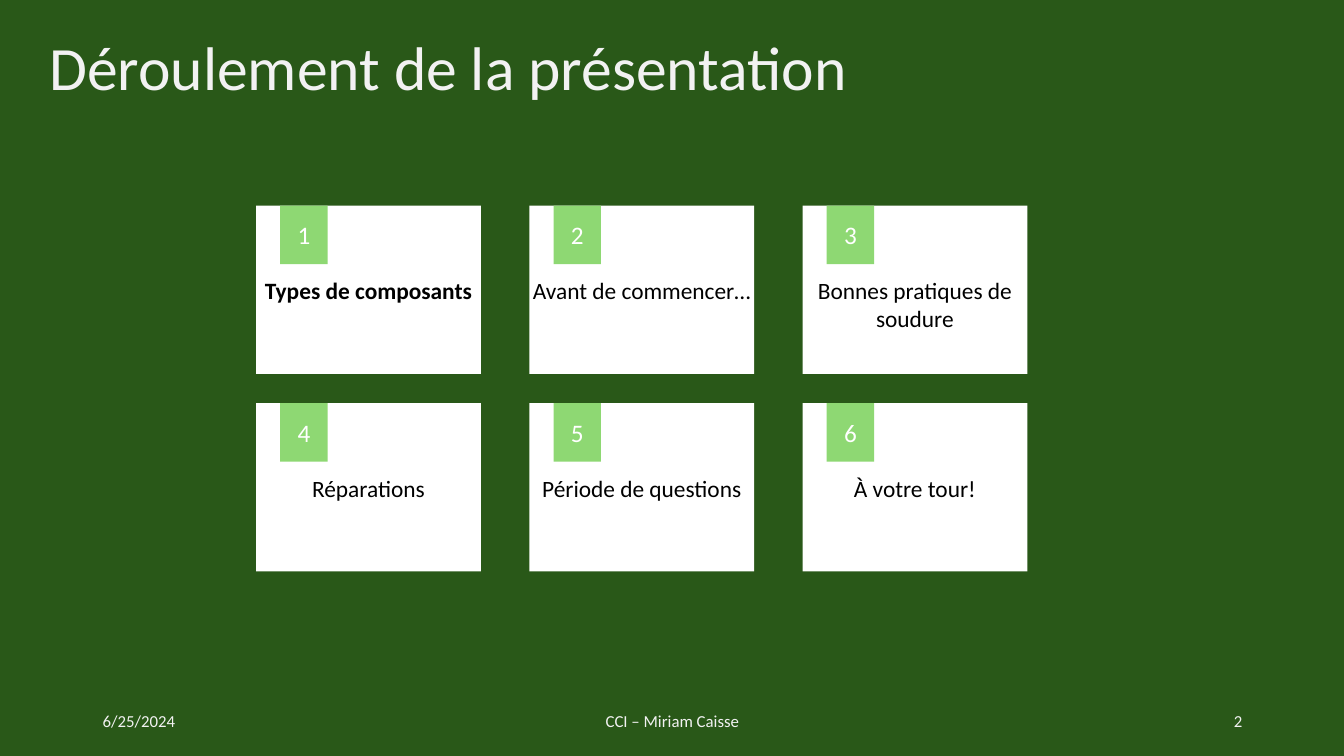
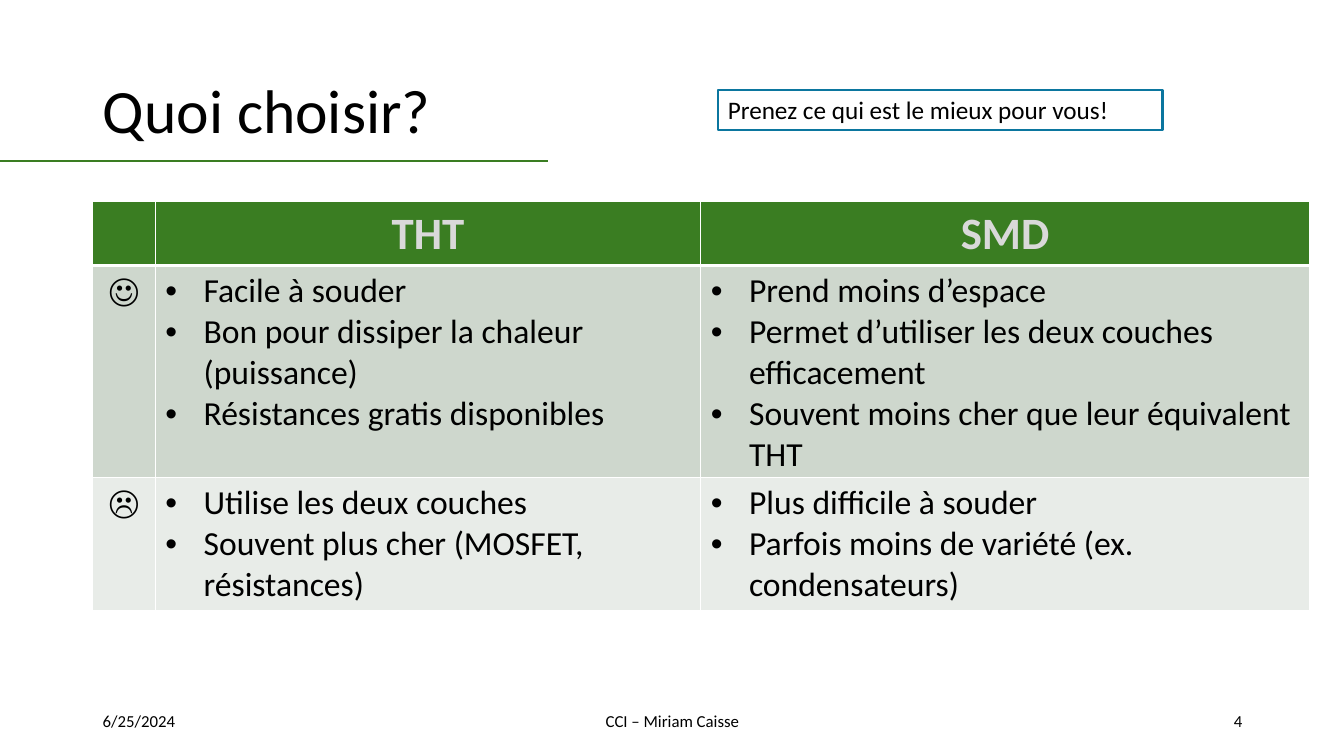
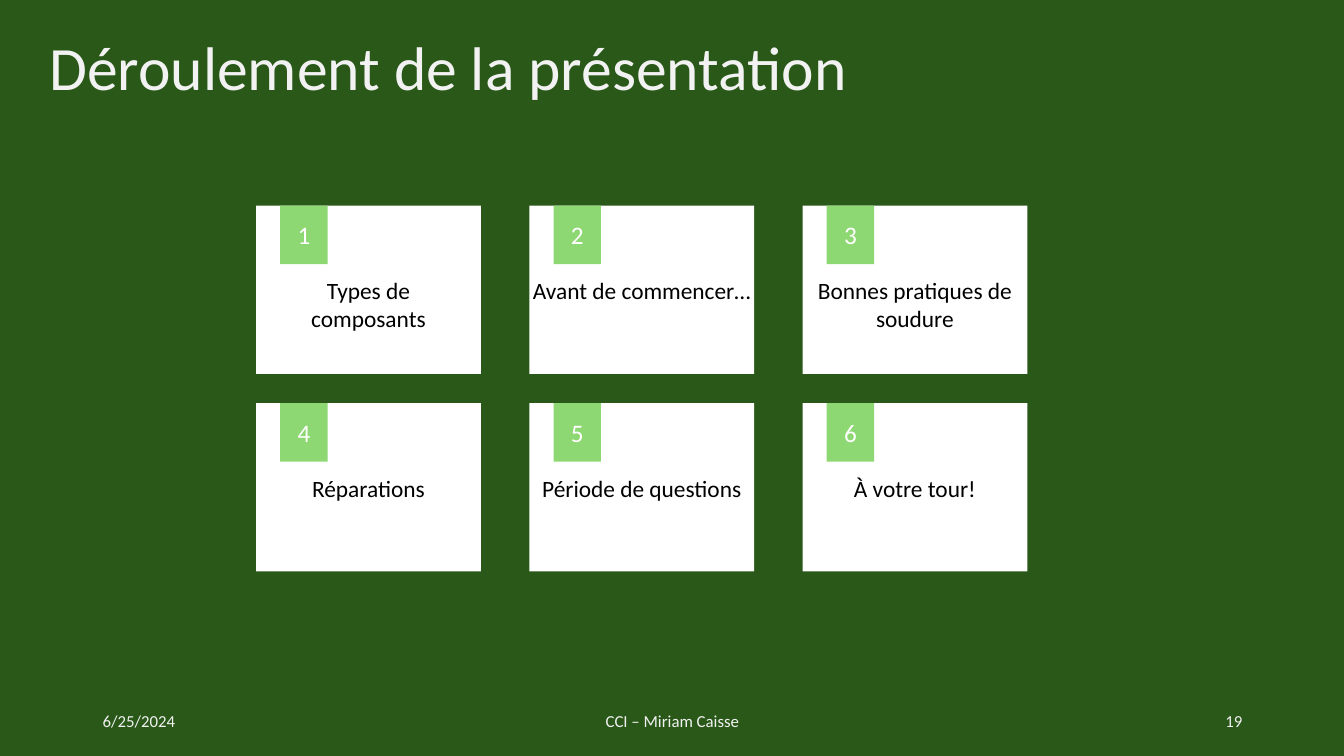
from lxml.etree import SubElement
from pptx import Presentation
from pptx.dml.color import RGBColor
from pptx.enum.shapes import MSO_CONNECTOR, MSO_SHAPE
from pptx.enum.text import MSO_ANCHOR, PP_ALIGN
from pptx.oxml.ns import qn
from pptx.util import Inches, Pt

FONT = "Calibri"
BLACK, WHITE, PALE = "000000", "FFFFFF", "F2F2F2"
DARK_GREEN, GREEN, LIGHT_GREEN = "295818", "3A7D22", "8ED873"
BLUE, HEADER_GRAY = "0B769F", "D9D9D9"
BAND_COLORS = ("CED7CD", "E8ECE8")
LEFT, CENTER, RIGHT = PP_ALIGN.LEFT, PP_ALIGN.CENTER, PP_ALIGN.RIGHT
TOP, MIDDLE = MSO_ANCHOR.TOP, MSO_ANCHOR.MIDDLE

AGENDA_TITLE = "Déroulement de la présentation"
LATER_TOPICS = [
    ["Avant de commencer…"],
    ["Bonnes pratiques de soudure"],
    ["Réparations"],
    ["Période de questions"],
    ["À votre tour!"],
]
CARD_COLUMNS = 3
CARD_LEFT, CARD_TOP = 2.54, 2.04
CARD_WIDTH, CARD_HEIGHT = 2.23, 1.67
CARD_STEP_X, CARD_STEP_Y = 2.71, 1.96

COLUMN_WIDTHS = (0.62, 5.41, 6.04)
ROW_HEIGHTS = (0.54, 1.99, 1.32)
COMPARISON = [
    ("☺",
     ["Facile à souder",
      "Bon pour dissiper la chaleur (puissance)",
      "Résistances gratis disponibles"],
     ["Prend moins d’espace",
      "Permet d’utiliser les deux couches efficacement",
      "Souvent moins cher que leur équivalent THT"]),
    ("☹",
     ["Utilise les deux couches",
      "Souvent plus cher (MOSFET, résistances)"],
     ["Plus difficile à souder",
      "Parfois moins de variété (ex. condensateurs)"]),
]


def rgb(color):
    """Turn a hex string into a colour."""
    return RGBColor.from_string(color)


def inches(*lengths):
    """Turn numbers into lengths in inches."""
    return [Inches(length) for length in lengths]


def add_bullet(para):
    """Give a paragraph a round bullet with a hanging indent."""
    properties = para._p.get_or_add_pPr()
    properties.set("marL", str(Inches(0.38)))
    properties.set("indent", str(-Inches(0.38)))
    SubElement(properties, qn("a:buFont"), typeface="Arial")
    SubElement(properties, qn("a:buChar"), char="•")


def write_text(frame, lines, size=18, color=BLACK, bold=False, align=LEFT,
               anchor=TOP, spacing=None, bullets=False, margin=None):
    """Write one paragraph per line in a text frame."""
    frame.word_wrap = True
    frame.vertical_anchor = anchor
    if margin is not None:
        frame.margin_left = frame.margin_right = Inches(margin)
        frame.margin_top = frame.margin_bottom = Inches(margin)
    for index, line in enumerate(lines):
        para = frame.add_paragraph() if index else frame.paragraphs[0]
        para.alignment = align
        if spacing:
            para.line_spacing = spacing
        if bullets:
            add_bullet(para)
        span = para.add_run()
        span.text = line
        span.font.name = FONT
        span.font.size = Pt(size)
        span.font.bold = bold
        span.font.color.rgb = rgb(color)


def add_text(shapes, place, lines, **text_format):
    """Add a text box."""
    box = shapes.add_textbox(*inches(*place))
    write_text(box.text_frame, lines, **text_format)


def add_box(shapes, place, fill, line=None):
    """Add a flat rectangle, outlined when a line colour is given."""
    box = shapes.add_shape(MSO_SHAPE.RECTANGLE, *inches(*place))
    box.shadow.inherit = False
    box.fill.solid()
    box.fill.fore_color.rgb = rgb(fill)
    if line:
        box.line.color.rgb = rgb(line)
        box.line.width = Pt(1.5)
    else:
        box.line.fill.background()
    return box


def add_rule(page, left, right, top, color):
    """Add a horizontal line."""
    rule = page.shapes.add_connector(
        MSO_CONNECTOR.STRAIGHT, *inches(left, top, right, top))
    rule.line.color.rgb = rgb(color)
    rule.line.width = Pt(1.5)
    SubElement(rule._element.spPr, qn("a:effectLst"))


def add_page(deck, title, place, number, color=BLACK, background=WHITE):
    """Add a slide with its background, title and footer."""
    page = deck.slides.add_slide(deck.slide_layouts.get_by_name("Title Only"))
    page.background.fill.solid()
    page.background.fill.fore_color.rgb = rgb(background)
    heading = page.shapes.title
    heading.left, heading.top, heading.width, heading.height = inches(*place)
    write_text(heading.text_frame, [title], size=44, color=color,
               anchor=MIDDLE, spacing=0.9)
    footers = [
        (0.92, 3, "6/25/2024", LEFT),
        (4.42, 4.5, "CCI – Miriam Caisse", CENTER),
        (9.42, 3, str(number), RIGHT),
    ]
    for left, width, text, align in footers:
        add_text(page.shapes, (left, 6.95, width, 0.4), [text], size=12,
                 color=color, align=align, anchor=MIDDLE)
    return page


def add_card(page, index, lines, bold=False):
    """Add a numbered topic card at its place in the grid."""
    row, column = divmod(index, CARD_COLUMNS)
    left = CARD_LEFT + column * CARD_STEP_X
    top = CARD_TOP + row * CARD_STEP_Y
    shapes = page.shapes.add_group_shape().shapes
    add_box(shapes, (left, top, CARD_WIDTH, CARD_HEIGHT), WHITE)
    add_text(shapes, (left, top + 0.7, CARD_WIDTH, 0.56), lines, size=16.7,
             bold=bold, align=CENTER, margin=0)
    badge = add_box(shapes, (left + 0.24, top, 0.47, 0.58), LIGHT_GREEN)
    write_text(badge.text_frame, [str(index + 1)], color=WHITE,
               align=CENTER, anchor=MIDDLE)


def add_agenda(deck, number, first_topic, highlight=False):
    """Add an agenda slide, with its first topic bold on request."""
    page = add_page(deck, AGENDA_TITLE, (0.39, 0.22, 11.5, 0.96), number,
                    color=PALE, background=DARK_GREEN)
    for index, lines in enumerate([first_topic] + LATER_TOPICS):
        add_card(page, index, lines, bold=highlight and index == 0)


def style_cell(cell, fill, top=1, bottom=1):
    """Set a cell's white borders, in points, and its fill."""
    properties = cell._tc.get_or_add_tcPr()
    for side, width in (("L", 1), ("R", 1), ("T", top), ("B", bottom)):
        border = SubElement(properties, qn(f"a:ln{side}"), w=str(Pt(width)))
        solid = SubElement(border, qn("a:solidFill"))
        SubElement(solid, qn("a:srgbClr"), val=WHITE)
    cell.fill.solid()
    cell.fill.fore_color.rgb = rgb(fill)


def add_comparison(page):
    """Add the table that compares the two kinds of component."""
    place = inches(0.92, 2, sum(COLUMN_WIDTHS), sum(ROW_HEIGHTS))
    table = page.shapes.add_table(
        len(ROW_HEIGHTS), len(COLUMN_WIDTHS), *place).table
    table.horz_banding = False
    for column, width in zip(table.columns, COLUMN_WIDTHS):
        column.width = Inches(width)
    for row, height in zip(table.rows, ROW_HEIGHTS):
        row.height = Inches(height)
    for column, heading in enumerate(("", "THT", "SMD")):
        cell = table.cell(0, column)
        style_cell(cell, GREEN, bottom=3)
        if heading:
            write_text(cell.text_frame, [heading], size=32,
                       color=HEADER_GRAY, bold=True, align=CENTER)
    for row, (mood, *lists) in enumerate(COMPARISON, 1):
        for column, lines in enumerate([[mood]] + lists):
            cell = table.cell(row, column)
            style_cell(cell, BAND_COLORS[row - 1], top=3 if row == 1 else 1)
            write_text(cell.text_frame, lines, size=24, bullets=column > 0,
                       align=LEFT if column else CENTER)


def add_choice(deck):
    """Add the slide that helps to choose a kind of component."""
    page = add_page(deck, "Quoi choisir?", (0.92, 0.4, 11.5, 1.45), 4)
    add_comparison(page)
    add_rule(page, 0, 5.44, 1.6, GREEN)
    advice = add_box(page.shapes, (7.12, 0.89, 4.41, 0.4), WHITE, line=BLUE)
    write_text(advice.text_frame, ["Prenez ce qui est le mieux pour vous!"])


def main():
    """Build and save the deck."""
    deck = Presentation()
    deck.slide_width, deck.slide_height = inches(13.33, 7.5)
    add_agenda(deck, 2, ["Types de composants"], highlight=True)
    add_choice(deck)
    add_agenda(deck, 19, ["Types de", "composants"])
    deck.save("out.pptx")


if __name__ == "__main__":
    main()
